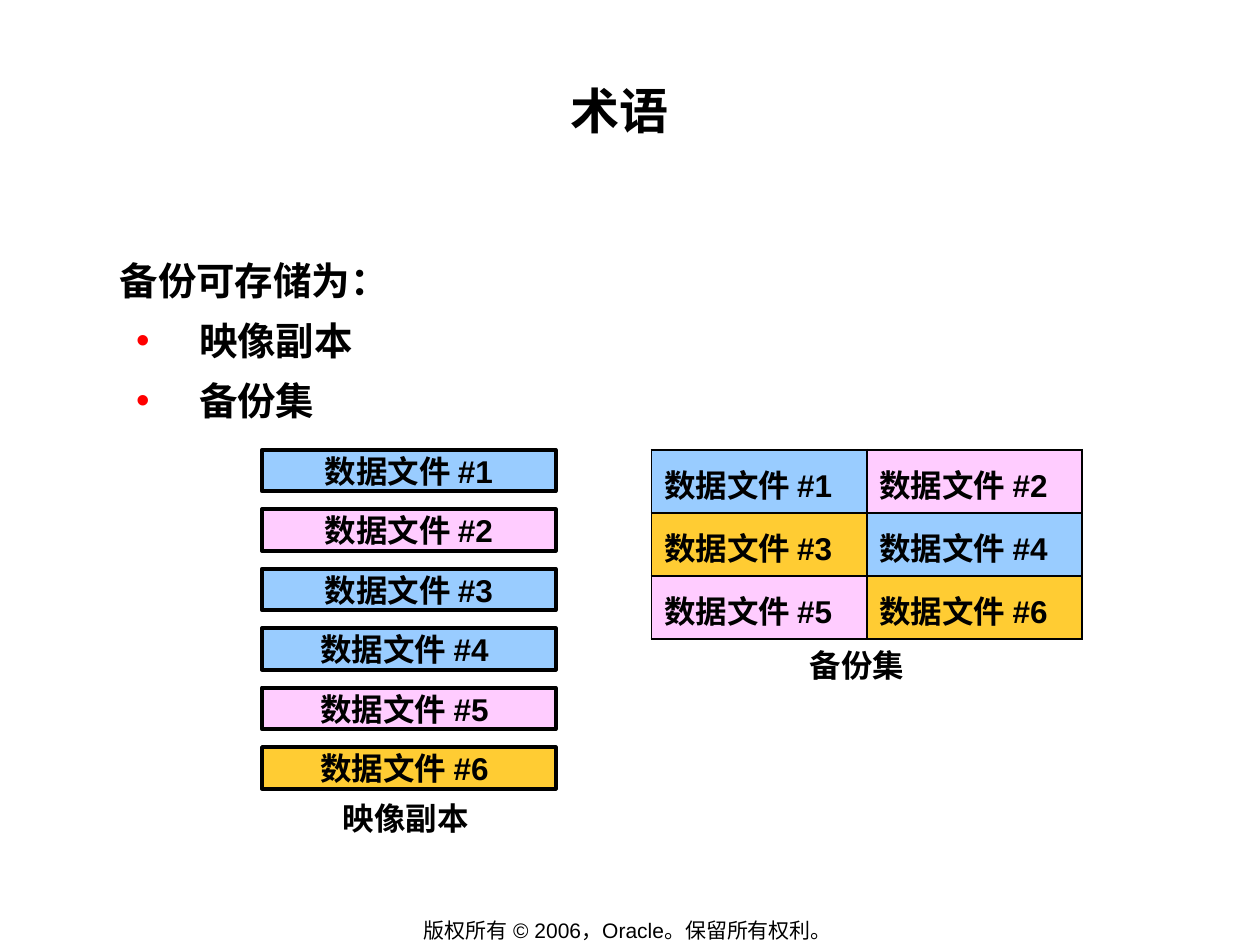
from lxml.etree import SubElement as Sub
from pptx import Presentation
from pptx.dml.color import RGBColor as Rgb
from pptx.enum.shapes import MSO_SHAPE as Shape
from pptx.enum.text import MSO_ANCHOR as Anchor, MSO_AUTO_SIZE as Auto, PP_ALIGN as Align
from pptx.oxml.ns import qn
from pptx.util import Inches, Pt

HEX = {"ink": "000000", "blue": "99CCFF", "pink": "FFCCFF", "gold": "FFCC33", "dot": "FF0000"}
LATIN, HAN = "Arial", "Noto Sans CJK SC"
LABEL = "数据文件 "
STACK = [("#1", "blue"), ("#2", "pink"), ("#3", "blue"),
         ("#4 ", "blue"), ("#5 ", "pink"), ("#6 ", "gold")]
GRID = [("#1", "blue"), ("#2", "pink"), ("#3", "gold"),
        ("#4", "blue"), ("#5", "pink"), ("#6", "gold")]
LIST = [("备份可存储为：", 0), ("映像副本", 1), ("备份集", 1)]


def tone(name):
    """Return the named colour."""
    return Rgb.from_string(HEX[name])


def write(para, text, size, face=LATIN, bold=True):
    """Add one run of text in the given face."""
    run = para.add_run()
    run.text = text
    for key, val in {"size": Pt(size), "bold": bold, "name": face}.items():
        setattr(run.font, key, val)
    run.font.color.rgb = tone("ink")
    Sub(run.font._element, qn("a:ea"), typeface=face)


def paint(item, fill):
    """Give a shape or cell a solid fill."""
    item.fill.solid()
    item.fill.fore_color.rgb = tone(fill)


def place(item, box):
    """Move a placeholder to its box and prepare its text frame."""
    for key, val in zip(("left", "top", "width", "height"), box):
        setattr(item, key, Inches(val))
    frame = item.text_frame
    form = {"vertical_anchor": Anchor.TOP, "auto_size": Auto.NONE, "word_wrap": True}
    form.update({f"margin_{side}": Inches(0.01) for side in ("left", "top", "right", "bottom")})
    for key, val in form.items():
        setattr(frame, key, val)
    return frame


def head(slide, box):
    """Fill the title."""
    para = place(slide.shapes.title, box).paragraphs[0]
    para.alignment, para.line_spacing = Align.CENTER, 1.1
    write(para, "术语 ", 28)


def body(slide, box):
    """Fill the list with a lead line and its bullets."""
    frame = place(slide.placeholders[1], box)
    for num, (text, level) in enumerate(LIST):
        para = frame.add_paragraph() if num else frame.paragraphs[0]
        para.level, para.line_spacing = level, 1.1
        para.space_before = Pt(5.5 if num else 0)
        props = para._p.get_or_add_pPr()
        props.set("marL", str(Inches(0.63 * level)))
        props.set("indent", str(Inches(-0.5 * level)))
        if level:
            Sub(Sub(props, qn("a:buClr")), qn("a:srgbClr"), val=HEX["dot"])
            Sub(props, qn("a:buChar"), char="•")
        else:
            Sub(props, qn("a:buNone"))
        write(para, text, 22)


def note(shapes, box, text, size=18, face=HAN, bold=True, wrap=True):
    """Add a centred caption."""
    frame = shapes.add_textbox(*map(Inches, box)).text_frame
    frame.word_wrap = wrap
    frame.vertical_anchor = Anchor.TOP if wrap else Anchor.MIDDLE
    para = frame.paragraphs[0]
    para.alignment = Align.CENTER
    write(para, text, size, face, bold)


def stack(slide, box):
    """Draw the separate image copies above their caption."""
    left, top, wide, high = box
    group = slide.shapes.add_group_shape().shapes
    bar = 0.33
    step = (high - bar) / (len(STACK) - 1)
    for num, (tag, fill) in enumerate(STACK):
        spot = (left, top + num * step, wide, bar)
        rect = group.add_shape(Shape.RECTANGLE, *map(Inches, spot))
        rect.shadow.inherit = False
        paint(rect, fill)
        rect.line.color.rgb, rect.line.width = tone("ink"), Pt(2.25)
        rect.text_frame.word_wrap = False
        rect.text_frame.vertical_anchor = Anchor.MIDDLE
        para = rect.text_frame.paragraphs[0]
        para.alignment = Align.CENTER
        write(para, LABEL, 18, HAN)
        write(para, tag, 18)
    note(group, (left - 0.08, top + high + 0.03, 2.5, 0.4), "映像副本 ")


def edge(cell):
    """Draw the four borders of a cell."""
    props = cell._tc.get_or_add_tcPr()
    for num, side in enumerate(("lnL", "lnR", "lnT", "lnB")):
        line = props.makeelement(qn(f"a:{side}"), {"w": str(Pt(1.08))})
        Sub(Sub(line, qn("a:solidFill")), qn("a:srgbClr"), val=HEX["ink"])
        props.insert(num, line)


def grid(slide, box):
    """Draw the backup set as a table above its caption."""
    left, top, wide, high = box
    cols = 2
    rows = len(GRID) // cols
    table = slide.shapes.add_table(rows, cols, *map(Inches, box)).table
    for num, (tag, fill) in enumerate(GRID):
        cell = table.cell(*divmod(num, cols))
        paint(cell, fill)
        edge(cell)
        for side in ("left", "right"):
            setattr(cell, f"margin_{side}", Inches(0.1))
        para = cell.text_frame.paragraphs[0]
        para.line_spacing = 1.1
        write(para, LABEL, 18, HAN)
        write(para, tag, 18)
    note(slide.shapes, (left + 0.41, top + high + 0.01, 2.5, 0.4), "备份集 ")


def main():
    """Build and save the slide."""
    deck = Presentation()
    deck.slide_width, deck.slide_height = Inches(10), Inches(7.5)
    slide = deck.slides.add_slide(deck.slide_layouts[1])
    head(slide, (0.97, 0.58, 8, 0.96))
    body(slide, (0.94, 1.99, 8.06, 2.2))
    stack(slide, (2.08, 3.57, 2.33, 2.69))
    grid(slide, (5.17, 3.57, 3.42, 1.5))
    note(slide.shapes, (2.76, 7.28, 4.49, 0.21), "版权所有 © 2006，Oracle。保留所有权利。 ",
         12, LATIN, False, False)
    deck.save("out.pptx")


if __name__ == "__main__":
    main()
